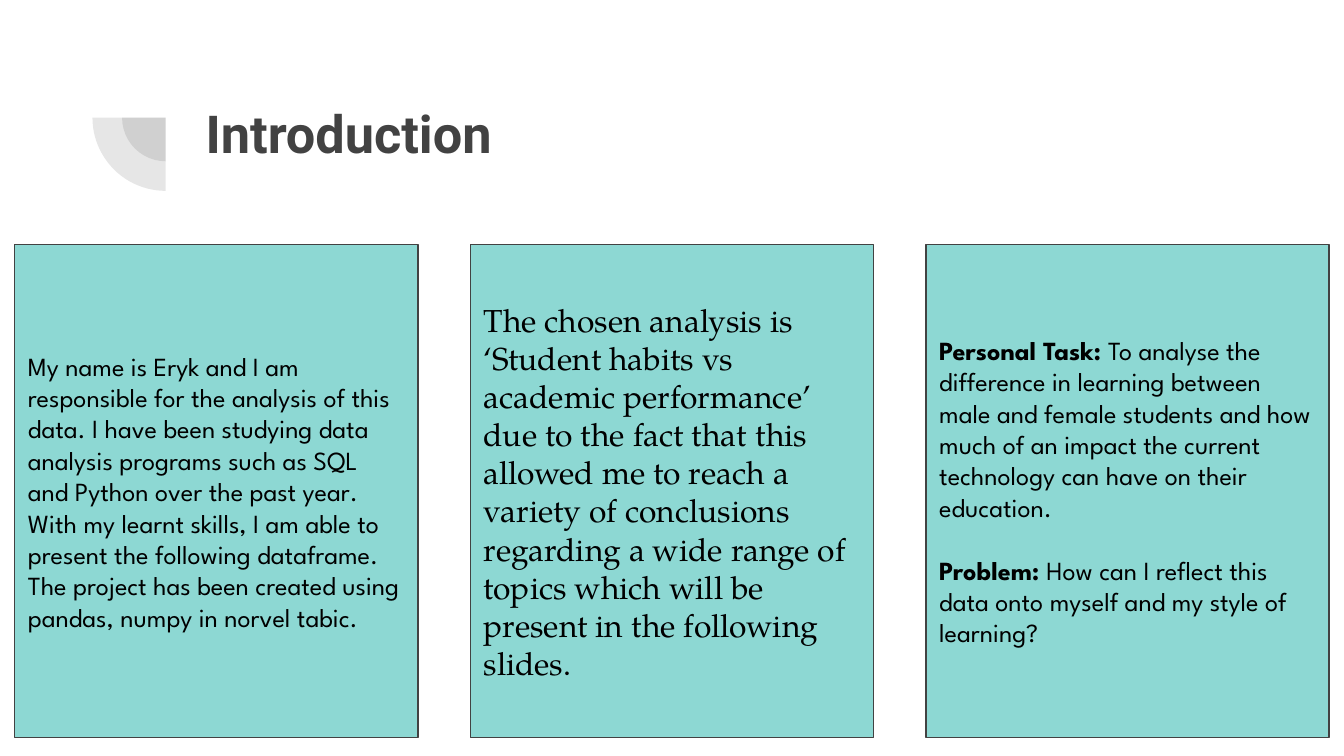
from dataclasses import dataclass

import pptx
import pptx.dml.color
import pptx.enum.shapes
import pptx.enum.text
import pptx.oxml
import pptx.oxml.ns
import pptx.util

Pt = pptx.util.Pt


@dataclass(frozen=True)
class Theme:
    ink: str = "424242"
    card_fill: str = "8DD8D3"
    card_text: str = "000000"
    title_font: str = "Roboto"
    sans_font: str = "League Spartan"
    serif_font: str = "TeX Gyre Pagella"
    title_size: float = 28
    sans_size: float = 14
    serif_size: float = 17
    card_line: float = 0.75
    inset: float = 7.2
    pie_opacity: int = 13


@dataclass(frozen=True)
class Passage:
    text: str
    heading: str = ""


@dataclass(frozen=True)
class Card:
    passages: tuple[Passage, ...]
    font: str
    size: float


THEME = Theme()
CARDS = (
    Card((Passage(
        "My name is Eryk and I am responsible for the analysis of this data. "
        "I have been studying data analysis programs such as SQL and Python over "
        "the past year. With my learnt skills, I am able to present the following "
        "dataframe. The project has been created using pandas, numpy in norvel tabic."),),
        THEME.sans_font, THEME.sans_size),
    Card((Passage(
        "The chosen analysis is ‘Student habits vs academic performance’ due to the "
        "fact that this allowed me to reach a variety of conclusions regarding a wide "
        "range of topics which will be present in the following slides."),),
        THEME.serif_font, THEME.serif_size),
    Card((
        Passage("To analyse the difference in learning between male and female students "
                "and how much of an impact the current technology can have on their "
                "education.", "Personal Task: "),
        Passage("How can I reflect this data onto myself and my style of learning?",
                "Problem: ")),
        THEME.sans_font, THEME.sans_size),
)
CARD_LEFT, CARD_TOP, CARD_WIDTH, CARD_HEIGHT = 7.92, 131.04, 216, 264.24
CARD_PITCH = 244.08
PASSAGE_GAP = 16.8
PIE_CENTRE = (88.8, 63)
PIE_DIAMETERS = (46.8, 78.5)


def color(value: str) -> pptx.dml.color.RGBColor:
    return pptx.dml.color.RGBColor.from_string(value)


def set_font(font, name: str, size: float, value: str) -> None:
    font.name = name
    font.size = Pt(size)
    font.color.rgb = color(value)


def set_frame(frame, anchor) -> None:
    frame.word_wrap = True
    frame.auto_size = pptx.enum.text.MSO_AUTO_SIZE.NONE
    frame.vertical_anchor = anchor
    frame.margin_left = frame.margin_right = Pt(THEME.inset)
    frame.margin_top = frame.margin_bottom = Pt(THEME.inset)


def draw_pie(slide, diameter: float) -> None:
    """Draw a translucent quarter circle around the shared centre."""
    left, top = (centre - diameter / 2 for centre in PIE_CENTRE)
    shape = slide.shapes.add_shape(
        pptx.enum.shapes.MSO_SHAPE.PIE, Pt(left), Pt(top), Pt(diameter), Pt(diameter))
    shape.adjustments[0] = 108  # 180 degrees
    shape.adjustments[1] = 162  # 270 degrees
    shape.rotation = 270
    shape.shadow.inherit = False
    shape.line.fill.background()
    shape.fill.solid()
    shape.fill.fore_color.rgb = color(THEME.ink)
    fill_color = shape.fill._xPr.find(".//" + pptx.oxml.ns.qn("a:srgbClr"))
    alpha = pptx.oxml.parse_xml(
        f'<a:alpha {pptx.oxml.ns.nsdecls("a")} val="{THEME.pie_opacity * 1000}"/>')
    fill_color.append(alpha)


def draw_title(slide, text: str) -> None:
    title = slide.shapes.title
    title.left, title.top = Pt(103), Pt(46.8)
    title.width, title.height = Pt(553.7), Pt(78.5)
    set_frame(title.text_frame, pptx.enum.text.MSO_ANCHOR.TOP)
    title.text_frame.text = text
    paragraph = title.text_frame.paragraphs[0]
    paragraph.alignment = pptx.enum.text.PP_ALIGN.LEFT
    set_font(paragraph.font, THEME.title_font, THEME.title_size, THEME.ink)
    paragraph.font.bold = True


def draw_card(slide, card: Card, left: float) -> None:
    shape = slide.shapes.add_shape(
        pptx.enum.shapes.MSO_SHAPE.RECTANGLE,
        Pt(left), Pt(CARD_TOP), Pt(CARD_WIDTH), Pt(CARD_HEIGHT))
    shape.shadow.inherit = False
    shape.fill.solid()
    shape.fill.fore_color.rgb = color(THEME.card_fill)
    shape.line.color.rgb = color(THEME.ink)
    shape.line.width = Pt(THEME.card_line)
    frame = shape.text_frame
    set_frame(frame, pptx.enum.text.MSO_ANCHOR.MIDDLE)
    for index, passage in enumerate(card.passages):
        paragraph = frame.add_paragraph() if index else frame.paragraphs[0]
        paragraph.alignment = pptx.enum.text.PP_ALIGN.LEFT
        paragraph.space_before = Pt(PASSAGE_GAP if index else 0)
        set_font(paragraph.font, card.font, card.size, THEME.card_text)
        if passage.heading:
            heading = paragraph.add_run()
            heading.text = passage.heading
            heading.font.bold = True
        paragraph.add_run().text = passage.text


def main() -> None:
    presentation = pptx.Presentation()
    presentation.slide_width, presentation.slide_height = Pt(720), Pt(405)
    title_only = presentation.slide_layouts[5]
    slide = presentation.slides.add_slide(title_only)

    # Corner ornament
    for diameter in PIE_DIAMETERS:
        draw_pie(slide, diameter)

    # Title
    draw_title(slide, "Introduction")

    # Three evenly spaced cards
    for index, card in enumerate(CARDS):
        draw_card(slide, card, CARD_LEFT + index * CARD_PITCH)

    presentation.save("out.pptx")


if __name__ == "__main__":
    main()
